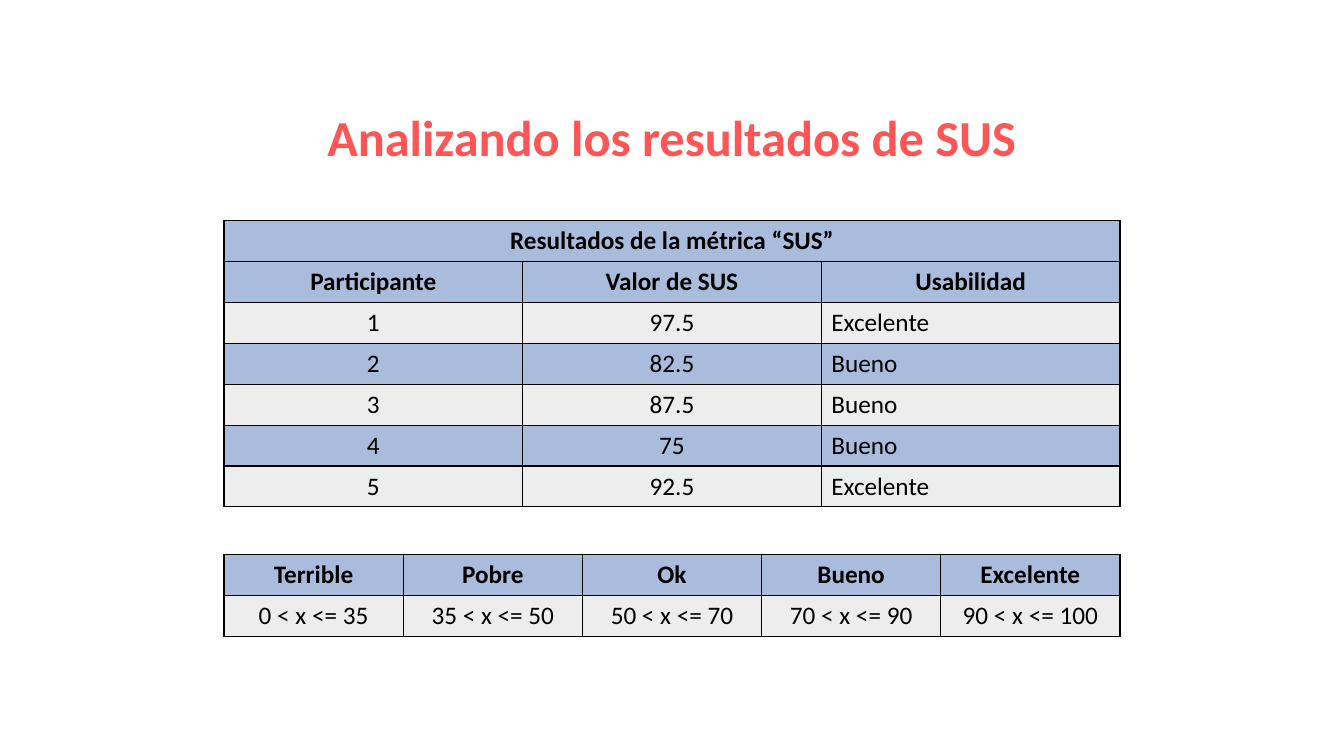
from lxml import etree
from pptx import Presentation
from pptx.dml.color import RGBColor
from pptx.enum.text import MSO_ANCHOR, MSO_AUTO_SIZE, PP_ALIGN
from pptx.oxml.ns import qn
from pptx.util import Inches, Pt

CENTER, LEFT = PP_ALIGN.CENTER, PP_ALIGN.LEFT
MIDDLE, NO_AUTOFIT = MSO_ANCHOR.MIDDLE, MSO_AUTO_SIZE.NONE
TITLE_ONLY = 5
COLORS = {"title": "FF5555", "text": "000000", "border": "000000",
          "blue": "A9BCDC", "gray": "EDEDED"}

prs = Presentation()
prs.slide_width, prs.slide_height = Inches(13.33), Inches(7.5)
W, H = prs.slide_width, prs.slide_height
TABLE_LEFT, TABLE_WIDTH, ROW_HEIGHT = W // 6, W * 2 // 3, int(H * 0.054)
slide = prs.slides.add_slide(prs.slide_layouts[TITLE_ONLY])


def format_text(paragraph, align, size, bold, color):
    paragraph.alignment = align
    font = paragraph.font
    for name, value in {"name": "Calibri", "size": Pt(size), "bold": bold}.items():
        setattr(font, name, value)
    font.color.rgb = RGBColor.from_string(COLORS[color])


def add_bordered_table(top, rows, header_rows, left_columns=()):
    """Add a table whose body rows alternate gray and blue under blue headers."""
    columns = len(rows[-1])
    table = slide.shapes.add_table(len(rows), columns, TABLE_LEFT, top,
                                   TABLE_WIDTH, ROW_HEIGHT * len(rows)).table
    for r, row in enumerate(rows):
        header = r < header_rows
        fill = "blue" if header or (r - header_rows) % 2 else "gray"
        for c in range(columns):
            cell = table.cell(r, c)
            properties = cell._tc.get_or_add_tcPr()
            for side in ("lnL", "lnR", "lnT", "lnB"):
                line = etree.SubElement(properties, qn(f"a:{side}"), w=str(Pt(1)))
                solid = etree.SubElement(line, qn("a:solidFill"))
                etree.SubElement(solid, qn("a:srgbClr"), val=COLORS["border"])
            cell.fill.solid()
            cell.fill.fore_color.rgb = RGBColor.from_string(COLORS[fill])
            cell.text = row[c] if c < len(row) else ""
            align = LEFT if c in left_columns and not header else CENTER
            format_text(cell.text_frame.paragraphs[0], align, 18, header, "text")
    return table


# Title
title = slide.shapes.title
title_box = {"left": TABLE_LEFT, "top": Inches(1), "width": TABLE_WIDTH, "height": Inches(0.71)}
for name, value in title_box.items():
    setattr(title, name, value)
title_frame = title.text_frame
title_frame.text = "Analizando los resultados de SUS"
for name, value in {"auto_size": NO_AUTOFIT, "vertical_anchor": MIDDLE, "word_wrap": True}.items():
    setattr(title_frame, name, value)
format_text(title_frame.paragraphs[0], CENTER, 36, True, "title")

# Results by participant
results = [
    ("Resultados de la métrica “SUS”",),
    ("Participante", "Valor de SUS", "Usabilidad"),
    ("1", "97.5", "Excelente"),
    ("2", "82.5", "Bueno"),
    ("3", "87.5", "Bueno"),
    ("4", "75", "Bueno"),
    ("5", "92.5", "Excelente"),
]
results_table = add_bordered_table(Inches(2.19), results, header_rows=2, left_columns=(2,))
results_table.cell(0, 0).merge(results_table.cell(0, 2))

# Usability scale
scale = [
    ("Terrible", "Pobre", "Ok", "Bueno", "Excelente"),
    ("0 < x <= 35", "35 < x <= 50", "50 < x <= 70", "70 < x <= 90", "90 < x <= 100"),
]
add_bordered_table(Inches(5.5), scale, header_rows=1)

prs.save("out.pptx")
